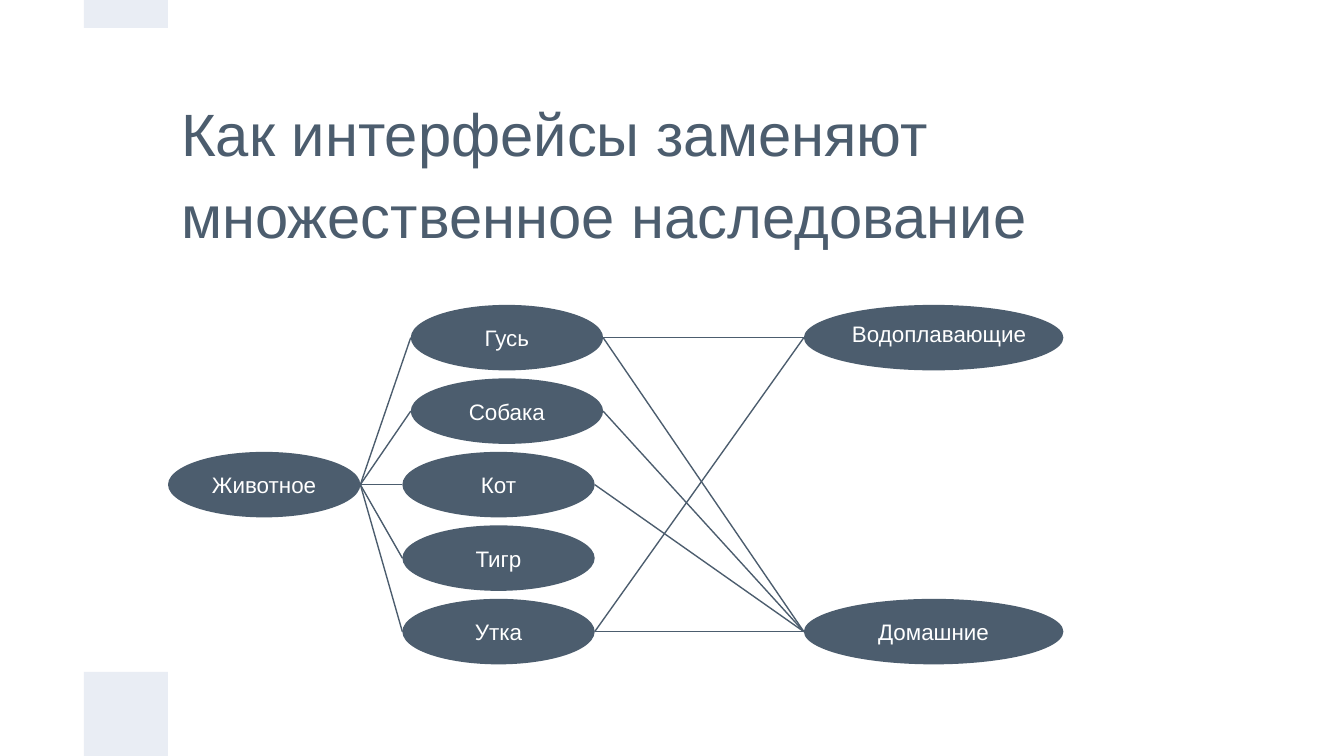
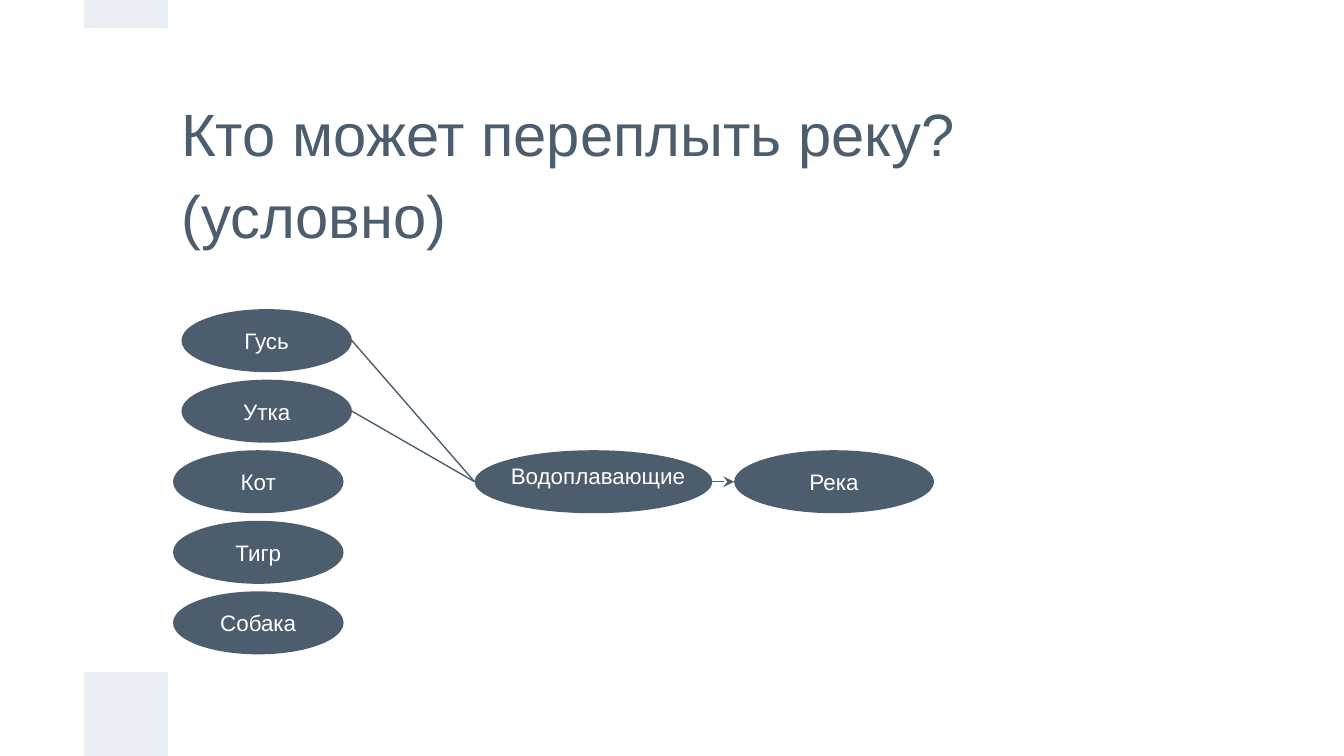
from dataclasses import dataclass

from lxml import etree
from pptx import Presentation
from pptx import util as u
from pptx.dml.color import RGBColor
from pptx.enum import shapes, text
from pptx.oxml import ns


@dataclass(frozen=True)
class Theme:
    ink: RGBColor = RGBColor.from_string("4C5D6E")
    band: RGBColor = RGBColor.from_string("E9EDF4")
    paper: RGBColor = RGBColor.from_string("FFFFFF")
    font: str = "Arial"
    title_size: float = 32
    label_size: float = 12
    line_width: float = 0.75


THEME = Theme()
WIDTH, HEIGHT = u.Inches(10), u.Inches(5.625)
COLUMNS, ROWS = 16, 9


def apply(target, values):
    for name, value in values.items():
        setattr(target, name, value)


def box(column, row, columns, rows):
    across, down = WIDTH / COLUMNS, HEIGHT / ROWS
    return [round(n) for n in (column * across, row * down, columns * across, rows * down)]


def write(shape, wording, size, color, inset, anchor, alignment, spacing=None):
    frame = shape.text_frame
    side, edge = u.Inches(0.1), u.Inches(inset)
    apply(frame, dict(word_wrap=True, vertical_anchor=anchor, margin_left=side,
                      margin_right=side, margin_top=edge, margin_bottom=edge))
    paragraph = frame.paragraphs[0]
    apply(paragraph, dict(text=wording, alignment=alignment, line_spacing=spacing))
    font = paragraph.runs[0].font
    apply(font, dict(name=THEME.font, size=u.Pt(size)))
    font.color.rgb = color


def add_filled(slide, kind, place, color):
    shape = slide.shapes.add_shape(kind, *box(*place))
    shape.shadow.inherit = False
    shape.fill.solid()
    shape.fill.fore_color.rgb = color
    shape.line.fill.background()
    return shape


def add_oval(slide, place, wording=None):
    oval = add_filled(slide, shapes.MSO_SHAPE.OVAL, place, THEME.ink)
    if wording:
        write(oval, wording, THEME.label_size, THEME.paper, 0.05,
              text.MSO_ANCHOR.MIDDLE, text.PP_ALIGN.CENTER)
    return oval


def add_label(slide, place, wording):
    label = slide.shapes.add_textbox(*box(*place))
    write(label, wording, THEME.label_size, THEME.paper, 0.1,
          text.MSO_ANCHOR.TOP, text.PP_ALIGN.CENTER)


def add_animals(slide, names, columns, top, pitch, size):
    return {name: add_oval(slide, (column, top + index * pitch, *size), name)
            for index, (name, column) in enumerate(zip(names, columns))}


def add_link(slide, start, end, arrow=False):
    link = slide.shapes.add_connector(
        shapes.MSO_CONNECTOR.STRAIGHT,
        start.left + start.width, start.top + start.height // 2,
        end.left, end.top + end.height // 2)
    link.line.color.rgb = THEME.ink
    link.line.width = u.Pt(THEME.line_width)
    properties = link._element.spPr
    if arrow:
        etree.SubElement(properties.find(ns.qn("a:ln")), ns.qn("a:tailEnd"), type="stealth")
    etree.SubElement(properties, ns.qn("a:effectLst"))


def add_slide(presentation, title):
    slide = presentation.slides.add_slide(presentation.slide_layouts[6])
    for place in ((1, 8, 1, 1), (1, 0, 1, 1 / 3)):
        add_filled(slide, shapes.MSO_SHAPE.RECTANGLE, place, THEME.band)
    heading = slide.shapes.add_textbox(*box(2, 1, 12, 2))
    write(heading, title, THEME.title_size, THEME.ink, 0.1,
          text.MSO_ANCHOR.MIDDLE, text.PP_ALIGN.LEFT, 1.15)
    return slide


def build_inheritance(presentation):
    slide = add_slide(presentation, "Как интерфейсы заменяют множественное наследование")
    top, pitch, width, height = 3.63, 7 / 8, 2.29, 0.78
    base = add_oval(slide, (2, top + 2 * pitch, width, height), "Животное")
    animals = add_animals(slide, ("Гусь", "Собака", "Кот", "Тигр", "Утка"),
                          (4.89, 4.89, 4.79, 4.79, 4.79), top, pitch, (width, height))
    swimming = add_oval(slide, (9.57, top, 3.09, height))
    domestic = add_oval(slide, (9.57, top + 4 * pitch, 3.09, height), "Домашние")
    for animal in animals.values():
        add_link(slide, base, animal)
    for trait, names in ((swimming, ("Гусь", "Утка")),
                         (domestic, ("Гусь", "Собака", "Кот", "Утка"))):
        for name in names:
            add_link(slide, animals[name], trait)
    add_label(slide, (9.71, 3.65, 2.94, height), "Водоплавающие")


def build_river(presentation):
    slide = add_slide(presentation, "Кто может переплыть реку? (условно)")
    top, pitch, height = 3.68, 0.84, 0.75
    middle = top + 2 * pitch
    animals = add_animals(slide, ("Гусь", "Утка", "Кот", "Тигр", "Собака"),
                          (2.16, 2.16, 2.06, 2.06, 2.06), top, pitch, (2.03, height))
    swimming = add_oval(slide, (5.65, middle, 2.83, height))
    river = add_oval(slide, (8.74, middle, 2.38, height), "Река")
    for name in ("Гусь", "Утка"):
        add_link(slide, animals[name], swimming)
    add_link(slide, swimming, river, arrow=True)
    add_label(slide, (5.76, 5.34, 2.72, 0.85), "Водоплавающие")


def main():
    presentation = Presentation()
    apply(presentation, dict(slide_width=WIDTH, slide_height=HEIGHT))
    build_inheritance(presentation)
    build_river(presentation)
    presentation.save("out.pptx")


if __name__ == "__main__":
    main()
